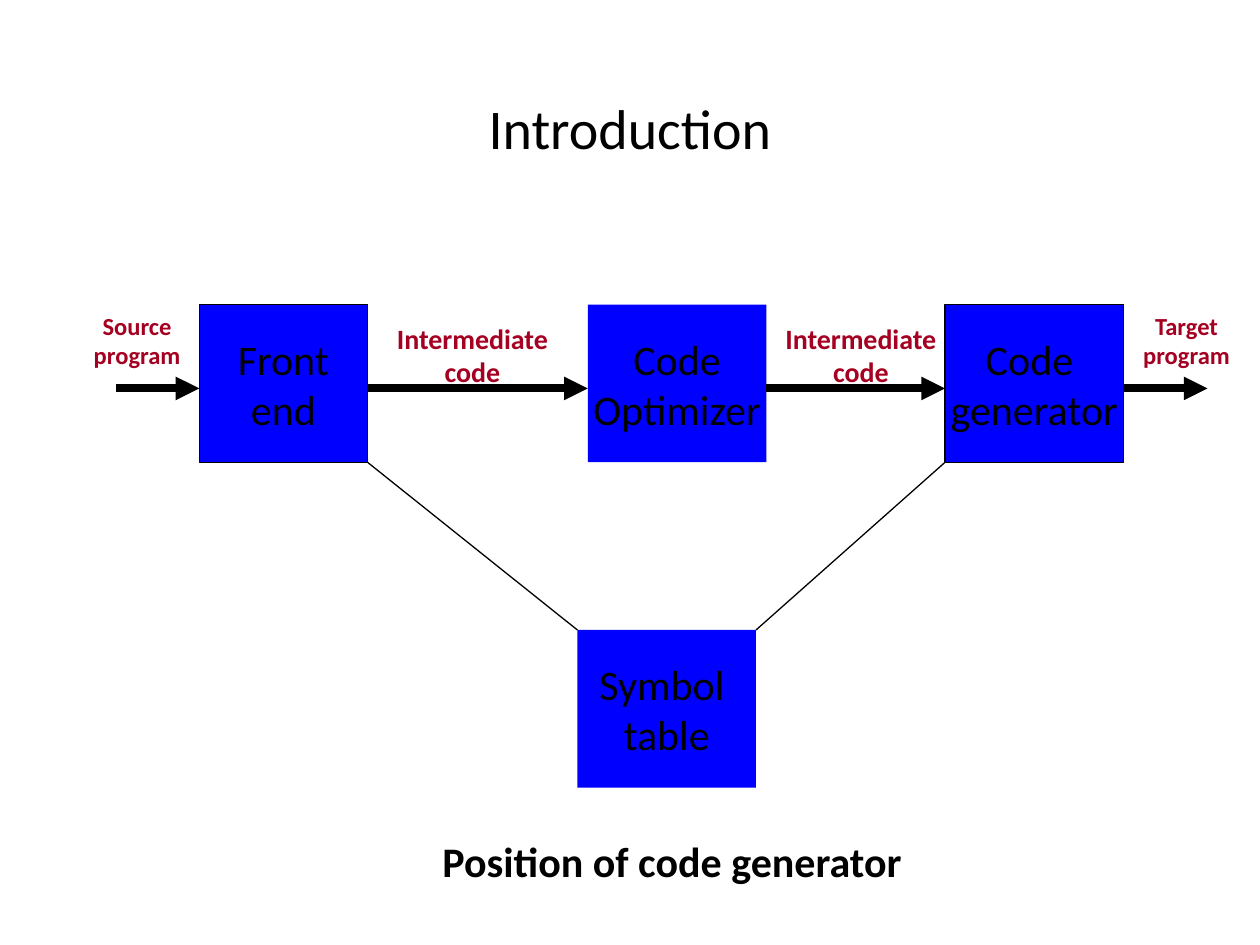
import pptx
import pptx.dml.color
import pptx.enum.shapes
import pptx.enum.text
import pptx.oxml.ns
import pptx.util
from lxml import etree
from pptx.util import Cm

FONT = "Calibri"
BLACK, BLUE, RED = "000000", "0000FF", "A50021"
CENTER = pptx.enum.text.PP_ALIGN.CENTER
LEFT = pptx.enum.text.PP_ALIGN.LEFT
MIDDLE = pptx.enum.text.MSO_ANCHOR.MIDDLE

TITLE = "Introduction"
CAPTION = "Position of code generator"

# Everything below is in centimetres.
STAGE_TOP, TABLE_TOP, BOX_HEIGHT = 6.14, 12.7, 3.18
FLOW_Y, FLOW_START, FLOW_END = 7.83, 2.33, 24.34

# lines, left, top, width, outlined
FRONT_END = (["Front", "end"], 4.02, STAGE_TOP, 3.39, True)
OPTIMIZER = (["Code", "Optimizer"], 11.85, STAGE_TOP, 3.6, False)
GENERATOR = (["Code ", "generator"], 19.05, STAGE_TOP, 3.6, True)
SYMBOL_TABLE = (["Symbol ", "table"], 11.64, TABLE_TOP, 3.6, False)
STAGES = [FRONT_END, OPTIMIZER, GENERATOR]

# lines, left, top, width, height, size
FLOW_LABELS = [
    (["Source", "program"], 1.19, 6.14, 3.15, 1.45, 14),
    (["Intermediate code"], 7.62, 6.35, 3.81, 1.63, 16),
    (["Intermediate code"], 15.45, 6.35, 3.81, 1.63, 16),
    (["Target", "program"], 22.65, 6.14, 2.54, 1.45, 14),
]


def color(hex_code):
    return pptx.dml.color.RGBColor.from_string(hex_code)


def write(frame, lines, size, ink=BLACK, bold=False, align=CENTER):
    for index, line in enumerate(lines):
        para = frame.paragraphs[0] if index == 0 else frame.add_paragraph()
        para.alignment = align
        span = para.add_run()
        span.text = line
        span.font.name = FONT
        span.font.size = pptx.util.Pt(size)
        span.font.bold = bold
        span.font.color.rgb = color(ink)


def add_box(page, lines, left, top, width, outlined):
    box = page.shapes.add_shape(pptx.enum.shapes.MSO_SHAPE.RECTANGLE,
                                Cm(left), Cm(top), Cm(width), Cm(BOX_HEIGHT))
    box.shadow.inherit = False
    box.fill.solid()
    box.fill.fore_color.rgb = color(BLUE)
    if outlined:
        box.line.color.rgb = color(BLACK)
        box.line.width = pptx.util.Pt(0.75)
    else:
        box.line.fill.background()
    box.text_frame.word_wrap = False
    box.text_frame.vertical_anchor = MIDDLE
    write(box.text_frame, lines, 24)


def add_line(page, start, end, width, arrow=False):
    line = page.shapes.add_connector(pptx.enum.shapes.MSO_CONNECTOR.STRAIGHT,
                                     *map(Cm, start + end))
    line.line.color.rgb = color(BLACK)
    line.line.width = pptx.util.Pt(width)
    if arrow:
        etree.SubElement(line.line._get_or_add_ln(),
                         pptx.oxml.ns.qn("a:tailEnd"), type="triangle")
    etree.SubElement(line._element.spPr, pptx.oxml.ns.qn("a:effectLst"))


def add_text(page, lines, left, top, width, height, size, **style):
    box = page.shapes.add_textbox(Cm(left), Cm(top), Cm(width), Cm(height))
    box.text_frame.word_wrap = True
    box.text_frame.auto_size = pptx.enum.text.MSO_AUTO_SIZE.SHAPE_TO_FIT_TEXT
    write(box.text_frame, lines, size, bold=True, **style)
    return box


def right_edge(box):
    return box[1] + box[3]


def main():
    deck = pptx.Presentation()
    deck.slide_width, deck.slide_height = Cm(25.4), Cm(19.05)
    page = deck.slides.add_slide(deck.slide_layouts[5])

    title = page.shapes.title
    title.left, title.top = Cm(1.9), Cm(0.97)
    title.width, title.height = Cm(21.6), Cm(3.18)
    title.text_frame.vertical_anchor = MIDDLE
    write(title.text_frame, [TITLE], 32)

    for box in STAGES + [SYMBOL_TABLE]:
        add_box(page, *box)

    # The symbol table hangs from the facing corners of the outer stages.
    stage_bottom = STAGE_TOP + BOX_HEIGHT
    add_line(page, (right_edge(FRONT_END), stage_bottom),
             (SYMBOL_TABLE[1], TABLE_TOP), 0.75)
    add_line(page, (right_edge(SYMBOL_TABLE), TABLE_TOP),
             (GENERATOR[1], stage_bottom), 0.75)

    # The flow runs slightly below the middle of the stages.
    starts = [FLOW_START] + [right_edge(stage) for stage in STAGES]
    ends = [stage[1] for stage in STAGES] + [FLOW_END]
    for start, end in zip(starts, ends):
        add_line(page, (start, FLOW_Y), (end, FLOW_Y), 4.5, arrow=True)

    for label in FLOW_LABELS:
        add_text(page, *label, ink=RED)

    caption = add_text(page, [CAPTION], 4.65, 16.71, 16.94, 1.27, 24, align=LEFT)
    caption.text_frame.margin_left = Cm(4.27)

    deck.save("out.pptx")


if __name__ == "__main__":
    main()
